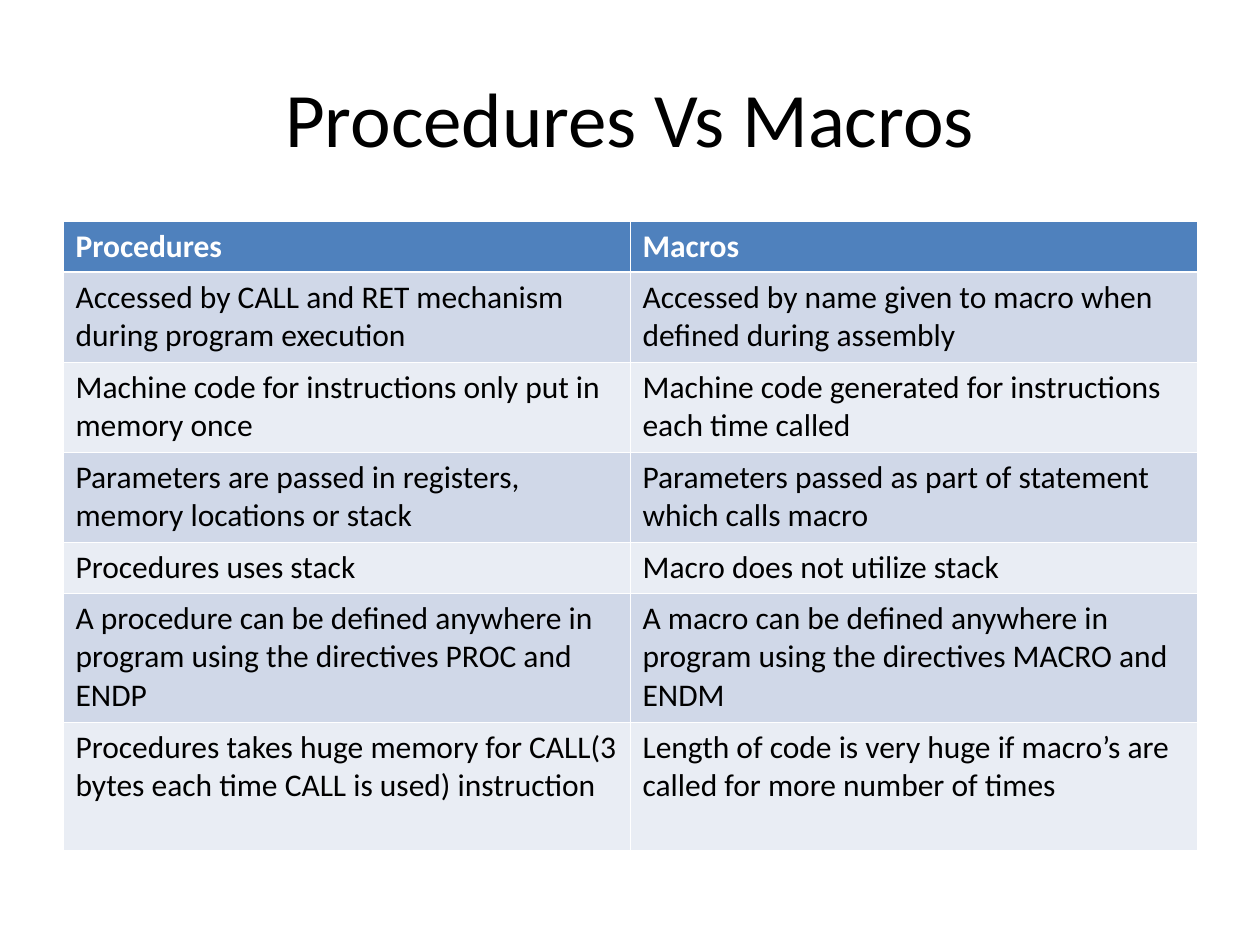
from lxml import etree
from pptx import Presentation
from pptx.dml.color import RGBColor
from pptx.enum.text import MSO_ANCHOR, PP_ALIGN
from pptx.oxml.ns import qn
from pptx.util import Emu, Pt

PX = 914400 / 126
FONT = "Calibri"
LEFT, CENTER = PP_ALIGN.LEFT, PP_ALIGN.CENTER
MIDDLE = MSO_ANCHOR.MIDDLE
BLACK, WHITE = "000000", "FFFFFF"
HEADER, BANDS = "4F81BD", ("D0D8E8", "E9EDF4")
THIN, THICK = 0.45, 1.47

ROWS = [
    ("Procedures", "Macros"),
    ("Accessed by CALL and RET mechanism during program execution",
     "Accessed by name given to macro when defined during assembly"),
    ("Machine code for instructions only put in memory once",
     "Machine code generated for instructions each time called"),
    ("Parameters are passed in registers, memory locations or stack",
     "Parameters passed as part of statement which calls macro"),
    ("Procedures uses stack", "Macro does not utilize stack"),
    ("A procedure can be defined anywhere in program using the directives PROC and ENDP",
     "A macro can be defined anywhere in program using the directives MACRO and ENDM"),
    ("Procedures takes huge memory for CALL(3 bytes each time CALL is used) instruction",
     "Length of code is very huge if macro’s are called for more number of times"),
]
ROW_HEIGHTS = [51, 90, 90, 90, 51, 129, 128]
COLUMN_WIDTH = 567


def px(n):
    return Emu(round(n * PX))


def rgb(color):
    return RGBColor.from_string(color)


def write(tf, text, size=18, color=BLACK, bold=False, align=LEFT):
    p = tf.paragraphs[0]
    p.alignment = align
    r = p.add_run()
    r.text = text
    r.font.name = FONT
    r.font.size = Pt(size)
    r.font.bold = bold
    r.font.color.rgb = rgb(color)


def add_title(s, text, x, y, w, h):
    tf = s.shapes.add_textbox(px(x), px(y), px(w), px(h)).text_frame
    tf.word_wrap = True
    tf.vertical_anchor = MIDDLE
    write(tf, text, size=44, align=CENTER)


def set_borders(cell, color, **widths):
    """Draw the L, R, T and B borders; call before the cell is filled."""
    tc_pr = cell._tc.get_or_add_tcPr()
    for side, width in widths.items():
        ln = etree.SubElement(tc_pr, qn(f"a:ln{side}"), w=str(Pt(width)))
        fill = etree.SubElement(ln, qn("a:solidFill"))
        etree.SubElement(fill, qn("a:srgbClr"), val=color)


def add_table(s, rows, x, y):
    columns = len(rows[0])
    frame = s.shapes.add_table(len(rows), columns, px(x), px(y),
                               px(COLUMN_WIDTH * columns), px(sum(ROW_HEIGHTS)))
    table = frame.table
    for column in table.columns:
        column.width = px(COLUMN_WIDTH)
    for i, texts in enumerate(rows):
        table.rows[i].height = px(ROW_HEIGHTS[i])
        header = i == 0
        for j, text in enumerate(texts):
            cell = table.cell(i, j)
            set_borders(cell, WHITE, L=THIN, R=THIN,
                        T=THICK if i == 1 else THIN,
                        B=THICK if header else THIN)
            cell.fill.solid()
            cell.fill.fore_color.rgb = rgb(HEADER if header else BANDS[(i - 1) % 2])
            write(cell.text_frame, text, color=WHITE if header else BLACK, bold=header)


def main():
    prs = Presentation()
    prs.slide_width, prs.slide_height = px(1260), px(945)
    s = prs.slides.add_slide(prs.slide_layouts[6])
    add_title(s, "Procedures Vs Macros", 63, 38, 1134, 158)
    add_table(s, ROWS, 63, 221)
    prs.save("out.pptx")


if __name__ == "__main__":
    main()
